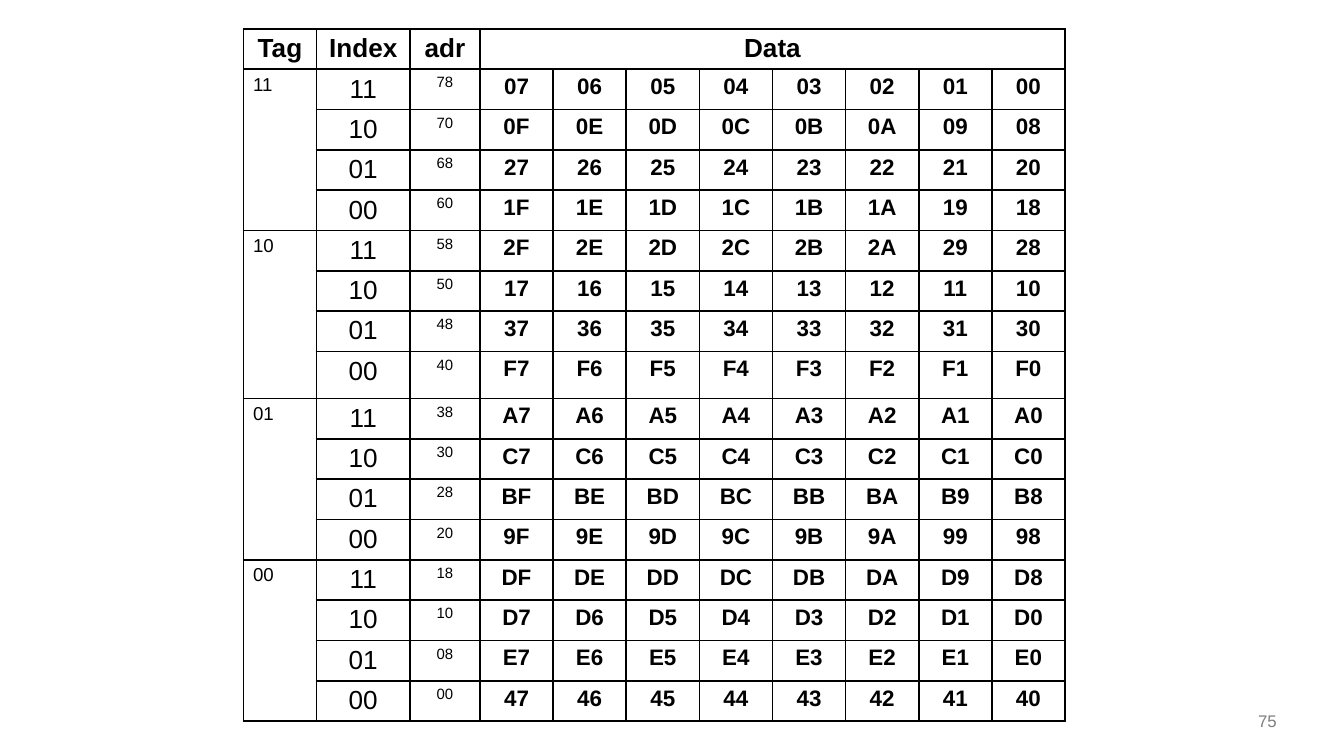
import pptx
import pptx.util
import pptx.dml.color
import pptx.enum.text
import pptx.oxml
import pptx.oxml.ns

Pt = pptx.util.Pt
ALIGN = pptx.enum.text.PP_ALIGN
ANCHOR = pptx.enum.text.MSO_ANCHOR
BLACK = pptx.dml.color.RGBColor(0x00, 0x00, 0x00)
GRAY = pptx.dml.color.RGBColor(0x7F, 0x7F, 0x7F)

HEADERS = ["Tag", "Index", "adr", "Data"]
TAGS = ["11", "10", "01", "00"]
INDEXES = ["11", "10", "01", "00"]
LOW_BYTES = [0x00, 0x08, 0x20, 0x18, 0x28, 0x10, 0x30, 0xF0,
             0xA0, 0xC0, 0xB8, 0x98, 0xD8, 0xD0, 0xE0, 0x40]
PAGE = "75"

LINE_BYTES = 8
COL_WIDTHS = [39.2, 50.1, 37.5] + [39.2] * LINE_BYTES
ROW_HEIGHTS = [21.6] * (len(LOW_BYTES) + 1)
ROW_HEIGHTS[8] = 25.2
LEFT, TOP = 130.4, 15.5


def add_borders(cell):
    tcPr = cell._tc.get_or_add_tcPr()
    for i, side in enumerate(("lnL", "lnR", "lnT", "lnB")):
        tcPr.insert(i, pptx.oxml.parse_xml(
            f'<a:{side} {pptx.oxml.ns.nsdecls("a")} w="12700"><a:solidFill>'
            f'<a:srgbClr val="{BLACK}"/></a:solidFill></a:{side}>'))


def write(tf, text, size, color=BLACK, bold=False, align=ALIGN.CENTER):
    p = tf.paragraphs[0]
    p.text = text
    p.alignment = align
    p.font.name = "Arial"
    p.font.size = Pt(size)
    p.font.bold = bold
    p.font.color.rgb = color


prs = pptx.Presentation()
prs.slide_width, prs.slide_height = Pt(720), Pt(405)
s = prs.slides.add_slide(prs.slide_layouts[6])

table = s.shapes.add_table(len(ROW_HEIGHTS), len(COL_WIDTHS), Pt(LEFT), Pt(TOP),
                           Pt(sum(COL_WIDTHS)), Pt(sum(ROW_HEIGHTS))).table
table.first_row = table.horz_banding = False
for col, width in zip(table.columns, COL_WIDTHS):
    col.width = Pt(width)
for row, height in zip(table.rows, ROW_HEIGHTS):
    row.height = Pt(height)
for cell in table.iter_cells():
    cell.fill.background()
    cell.margin_left = cell.margin_right = Pt(5.2)
    cell.margin_top = cell.margin_bottom = Pt(2.7)
    cell.text_frame.paragraphs[0].font.size = Pt(8)
    add_borders(cell)

table.cell(0, 3).merge(table.cell(0, len(COL_WIDTHS) - 1))
for c, header in enumerate(HEADERS):
    write(table.cell(0, c).text_frame, header, 14, bold=True)

group = len(INDEXES)
for i, tag in enumerate(TAGS):
    first = 1 + i * group
    table.cell(first, 0).merge(table.cell(first + group - 1, 0))
    write(table.cell(first, 0).text_frame, tag, 10, align=ALIGN.LEFT)

for i, low in enumerate(LOW_BYTES):
    r = i + 1
    address = (len(LOW_BYTES) - r) * LINE_BYTES
    write(table.cell(r, 1).text_frame, INDEXES[i % group], 14)
    write(table.cell(r, 2).text_frame, f"{address:02X}", 8)
    for c in range(LINE_BYTES):
        value = low + LINE_BYTES - 1 - c
        write(table.cell(r, 3 + c).text_frame, f"{value:02X}", 12, bold=True)

tf = s.shapes.add_textbox(Pt(641.5), Pt(370), Pt(42.5), Pt(21.6)).text_frame
tf.word_wrap = True
tf.vertical_anchor = ANCHOR.BOTTOM
tf.margin_left = tf.margin_right = tf.margin_top = tf.margin_bottom = 0
write(tf, PAGE, 9, GRAY, align=ALIGN.RIGHT)

prs.save("out.pptx")
